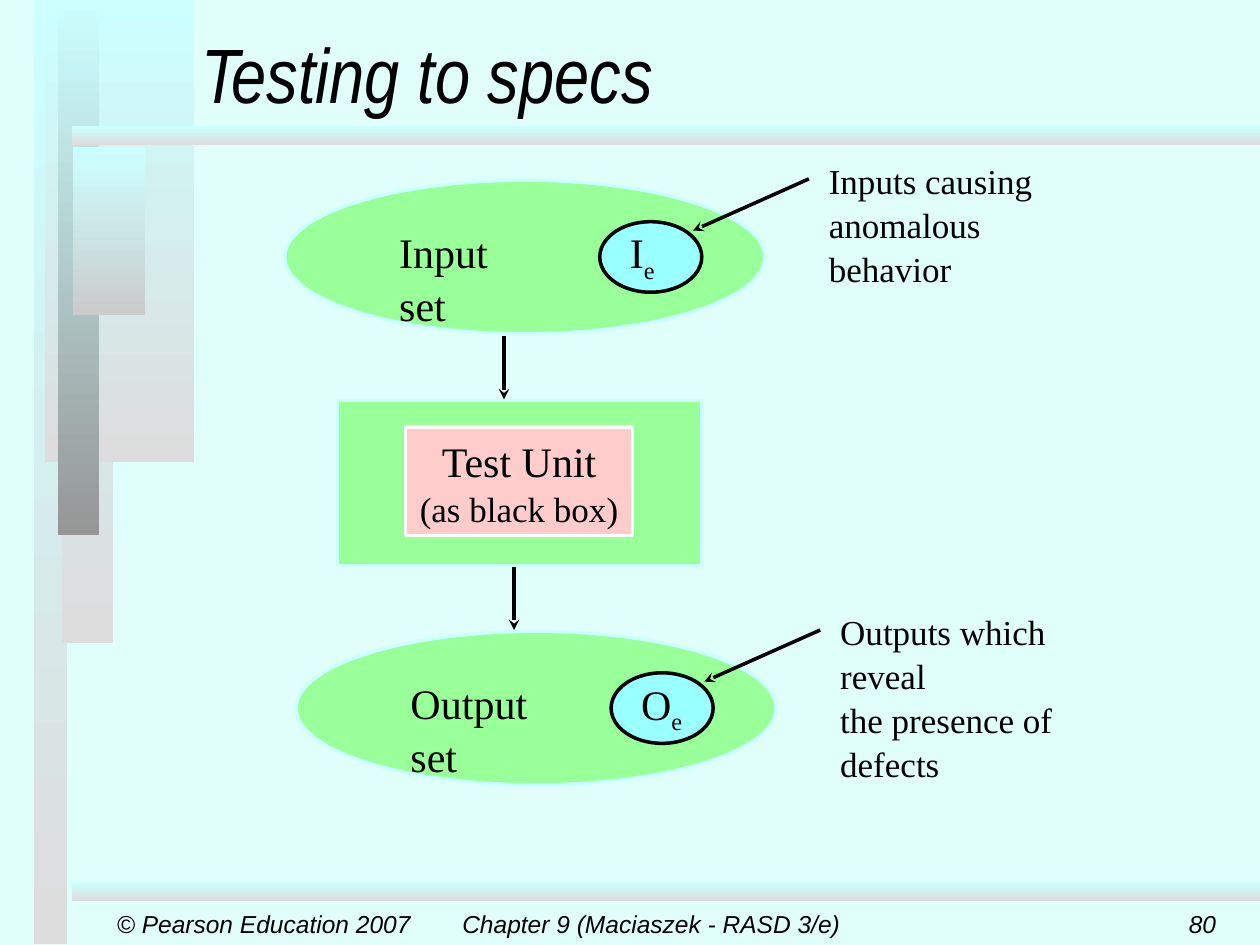
from lxml import etree
from pptx import Presentation
from pptx import util as u
from pptx.dml.color import RGBColor
from pptx.enum import shapes, text
from pptx.oxml.ns import qn

BLACK = RGBColor(0x00, 0x00, 0x00)
WHITE = RGBColor(0xFF, 0xFF, 0xFF)
MINT = RGBColor(0xE1, 0xFF, 0xFA)
ICE = RGBColor(0xCC, 0xFF, 0xFF)
SILVER = RGBColor(0xDD, 0xDD, 0xDD)
MID_GREY = RGBColor(0xCB, 0xCB, 0xCB)
DARK_GREY = RGBColor(0x96, 0x96, 0x96)
GREEN = RGBColor(0x99, 0xFF, 0x99)
CYAN = RGBColor(0x99, 0xFF, 0xFF)
PINK = RGBColor(0xFF, 0xCC, 0xCC)

RECT = shapes.MSO_SHAPE.RECTANGLE
OVAL = shapes.MSO_SHAPE.OVAL
LEFT, CENTER, RIGHT = (text.PP_ALIGN.LEFT, text.PP_ALIGN.CENTER,
                       text.PP_ALIGN.RIGHT)


class SlideBuilder:
    body_font = "Times New Roman"
    footer_font = "Arial"
    title_font = "Arial Narrow"
    line_width = u.Pt(2)
    line_spacing = 1.05

    def __init__(self, slide):
        self.slide = slide
        slide.background.fill.solid()
        slide.background.fill.fore_color.rgb = MINT

    @staticmethod
    def lengths(*values):
        return [u.Inches(value) for value in values]

    def add_run(self, paragraph, words, size, font, italic=False):
        run = paragraph.add_run()
        run.text = words
        run.font.size = u.Pt(size)
        run.font.name = font
        run.font.italic = italic
        run.font.color.rgb = BLACK
        return run

    def title(self, words, *box):
        heading = self.slide.shapes.title
        heading.left, heading.top, heading.width, heading.height = self.lengths(*box)
        frame = heading.text_frame
        frame.auto_size = text.MSO_AUTO_SIZE.NONE
        frame.vertical_anchor = text.MSO_ANCHOR.MIDDLE
        frame.paragraphs[0].alignment = LEFT
        self.add_run(frame.paragraphs[0], words, 44, self.title_font, italic=True)

    def gradient_bar(self, *box, end=SILVER):
        bar = self.slide.shapes.add_shape(RECT, *self.lengths(*box))
        bar.shadow.inherit = False
        bar.line.fill.background()
        bar.fill.gradient()
        bar.fill.gradient_angle = 270
        for stop, position, color in zip(bar.fill.gradient_stops, (0, 1), (ICE, end)):
            stop.position = position
            stop.color.rgb = color

    def shape(self, kind, *box, fill, outline):
        figure = self.slide.shapes.add_shape(kind, *self.lengths(*box))
        figure.shadow.inherit = False
        figure.fill.solid()
        figure.fill.fore_color.rgb = fill
        figure.line.color.rgb = outline
        figure.line.width = self.line_width
        return figure

    def add_lines(self, frame, lines, align=LEFT):
        """Fill a frame with one paragraph per (words, size) pair."""
        for index, (words, size) in enumerate(lines):
            paragraph = frame.add_paragraph() if index else frame.paragraphs[0]
            paragraph.alignment = align
            paragraph.line_spacing = self.line_spacing
            self.add_run(paragraph, words, size, self.body_font)

    def text_box(self, *box, wrap=True):
        frame = self.slide.shapes.add_textbox(*self.lengths(*box)).text_frame
        frame.word_wrap = wrap
        return frame

    def label(self, lines, *box):
        self.add_lines(self.text_box(*box), lines)

    def symbol(self, letter, subscript, *box):
        frame = self.text_box(*box, wrap=False)
        self.add_lines(frame, [(letter, 24)])
        index = self.add_run(frame.paragraphs[0], subscript, 24, self.body_font)
        index.font._element.set("baseline", "-25000")

    def footer(self, words, align, *box):
        frame = self.text_box(*box)
        frame.vertical_anchor = text.MSO_ANCHOR.MIDDLE
        frame.paragraphs[0].alignment = align
        self.add_run(frame.paragraphs[0], words, 14, self.footer_font, italic=True)

    def arrow(self, *ends):
        link = self.slide.shapes.add_connector(
            shapes.MSO_CONNECTOR.STRAIGHT, *self.lengths(*ends))
        link.line.color.rgb = BLACK
        link.line.width = self.line_width
        outline = link._element.spPr.find(qn("a:ln"))
        etree.SubElement(outline, qn("a:tailEnd"), type="stealth")
        etree.SubElement(link._element.spPr, qn("a:effectLst"))

    def data_set(self, dx, dy, name, letter, symbol_width, note):
        """Draw a set with its error subset and note, shifted by dx and dy."""
        self.shape(OVAL, 2.26 + dx, 1.43 + dy, 3.81, 1.22, fill=GREEN, outline=ICE)
        self.shape(OVAL, 4.76 + dx, 1.76 + dy, 0.81, 0.56, fill=CYAN, outline=BLACK)
        self.label([(name, 24)], 3.07 + dx, 1.73 + dy, 1.2, 0.5)
        self.symbol(letter, "e", 4.9 + dx, 1.73 + dy, symbol_width, 0.5)
        self.arrow(6.42 + dx, 1.42 + dy, 5.5 + dx, 1.83 + dy)
        self.label([(line, 20) for line in note], 6.48 + dx, 1.2 + dy, 1.9, 0.77)


def main():
    deck = Presentation()
    deck.slide_width, deck.slide_height = u.Inches(10), u.Inches(7.5)
    page = SlideBuilder(deck.slides.add_slide(deck.slide_layouts[5]))

    page.gradient_bar(0.27, 0, 0.26, 7.49)
    page.gradient_bar(0.49, 0, 0.41, 5.1)
    page.gradient_bar(0.36, 0, 1.18, 3.67)
    page.gradient_bar(0.46, 0, 0.33, 4.25, end=DARK_GREY)
    page.gradient_bar(0.58, 1.17, 0.57, 1.33, end=MID_GREY)
    for rule_top in (1, 7):
        page.gradient_bar(0.57, rule_top, 9.43, 0.15)

    page.title("Testing to specs", 1.5, 0.15, 8.5, 0.85)
    page.footer("© Pearson Education 2007", LEFT, 0.83, 7.17, 2.6, 0.33)
    page.footer("Chapter 9 (Maciaszek - RASD 3/e)", CENTER, 3.47, 7.17, 3.4, 0.33)
    page.footer("80", RIGHT, 7.67, 7.17, 2.08, 0.33)

    page.data_set(0, 0, "Input set", "I", 0.41,
                  ["Inputs causing", "anomalous behavior"])
    page.data_set(0.09, 3.58, "Output set", "O", 0.54,
                  ["Outputs which reveal", "the presence of defects"])

    page.shape(RECT, 2.68, 3.18, 2.89, 1.31, fill=GREEN, outline=ICE)
    unit = page.shape(RECT, 3.22, 3.39, 1.8, 0.86, fill=PINK, outline=WHITE)
    unit.text_frame.word_wrap = False
    page.add_lines(unit.text_frame, [("Test Unit", 24), ("(as black box)", 20)], CENTER)
    page.arrow(4, 2.67, 4, 3.17)
    page.arrow(4.08, 4.5, 4.08, 5)

    deck.save("out.pptx")


if __name__ == "__main__":
    main()
